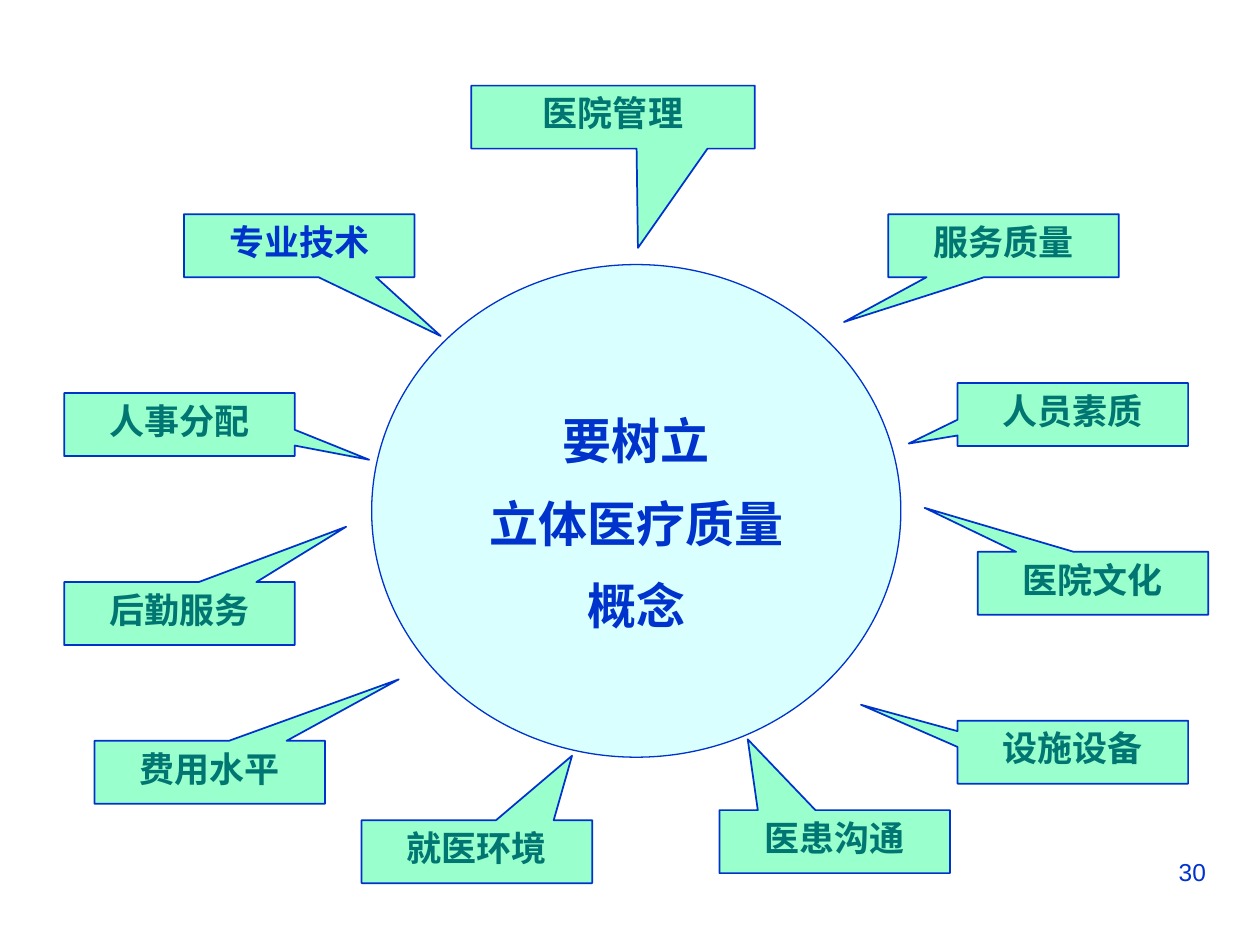
from collections import namedtuple
from dataclasses import dataclass

from lxml.etree import SubElement
from pptx import Presentation
from pptx.dml.color import RGBColor
from pptx.enum.shapes import MSO_SHAPE as Shape
from pptx.enum.text import MSO_ANCHOR as Anchor, PP_ALIGN as Align
from pptx.oxml.ns import qn
from pptx.util import Inches, Pt

Box = namedtuple("Box", "left top width height")
Factor = namedtuple("Factor", "label left top tip_x tip_y width font color",
                    defaults=(1.83, "Times New Roman", "007572"))


@dataclass(frozen=True)
class Theme:
    blue: str = "0033CC"
    callout_fill: str = "99FFCC"
    core_fill: str = "CCFFFF"
    core_opacity: int = 73
    sans: str = "Arial"
    alternate: str = "Lato"
    core_size: int = 28
    factor_size: int = 20
    number_size: int = 14


THEME = Theme()
FACTOR_HEIGHT = 0.5

# Callouts clockwise from the top; tips are fractions of the box from its centre
FACTORS = [
    Factor("医院管理", 3.74, 0.68, 0.088, 2.076, width=2.25),
    Factor("服务质量", 7.05, 1.7, -0.692, 1.212),
    Factor("人员素质", 7.6, 3.04, -0.712, 0.462, font=THEME.alternate),
    Factor("医院文化", 7.76, 4.38, -0.73, -1.198),
    Factor("设施设备", 7.6, 5.72, -0.919, -0.753, font=THEME.alternate),
    Factor("医患沟通", 5.71, 6.43, -0.377, -1.625),
    Factor("就医环境", 2.87, 6.51, 0.413, -1.524),
    Factor("费用水平", 0.75, 5.88, 0.82, -1.476),
    Factor("后勤服务", 0.51, 4.62, 0.723, -1.378),
    Factor("人事分配", 0.51, 3.12, 0.823, 0.559, font=THEME.alternate),
    Factor("专业技术", 1.46, 1.7, 0.614, 1.434, color=THEME.blue),
]


def write(shape, lines, *, size, font, color, bold=False, align=Align.CENTER,
          anchor=Anchor.TOP, spacing=None, wrap=True):
    """Fill a shape with one paragraph for each line."""
    frame = shape.text_frame
    frame.word_wrap = wrap
    frame.vertical_anchor = anchor
    frame.text = "\n".join(lines)
    for paragraph in frame.paragraphs:
        paragraph.alignment = align
        paragraph.line_spacing = spacing
        for run in paragraph.runs:
            run.font.size = Pt(size)
            run.font.name = font
            run.font.bold = bold
            run.font.color.rgb = RGBColor.from_string(color)


def add_outlined(slide, kind, box, fill, line_width):
    shape = slide.shapes.add_shape(kind, *map(Inches, box))
    shape.shadow.inherit = False
    shape.fill.solid()
    shape.fill.fore_color.rgb = RGBColor.from_string(fill)
    shape.line.color.rgb = RGBColor.from_string(THEME.blue)
    shape.line.width = Pt(line_width)
    return shape


def add_core(slide, box):
    """The translucent central ellipse with the main idea."""
    core = add_outlined(slide, Shape.OVAL, box, THEME.core_fill, 0.75)
    color = core.fill._xPr.find(qn("a:solidFill"))[0]
    SubElement(color, qn("a:alpha"), val=str(THEME.core_opacity * 1000))
    write(core, ["要树立", "立体医疗质量", "概念"], size=THEME.core_size,
          font=THEME.sans, color=THEME.blue, bold=True,
          anchor=Anchor.MIDDLE, spacing=1.4, wrap=False)


def add_factor(slide, box, factor):
    """A callout that points at the core."""
    callout = add_outlined(slide, Shape.RECTANGULAR_CALLOUT, box,
                           THEME.callout_fill, 1)
    callout.adjustments[0] = factor.tip_x
    callout.adjustments[1] = factor.tip_y
    write(callout, [factor.label], size=THEME.factor_size, font=factor.font,
          color=factor.color, bold=True)


def add_page_number(slide, box):
    number = slide.shapes.add_textbox(*map(Inches, box))
    write(number, ["30"], size=THEME.number_size, font=THEME.sans,
          color=THEME.blue, align=Align.RIGHT)


def main():
    deck = Presentation()
    deck.slide_width, deck.slide_height = Inches(10), Inches(7.5)
    slide = deck.slides.add_slide(deck.slide_layouts[6])

    add_core(slide, Box(2.95, 2.1, 4.2, 3.91))
    for factor in FACTORS:
        box = Box(factor.left, factor.top, factor.width, FACTOR_HEIGHT)
        add_factor(slide, box, factor)
    add_page_number(slide, Box(7.17, 6.75, 2.5, 0.52))

    deck.save("out.pptx")


if __name__ == "__main__":
    main()
